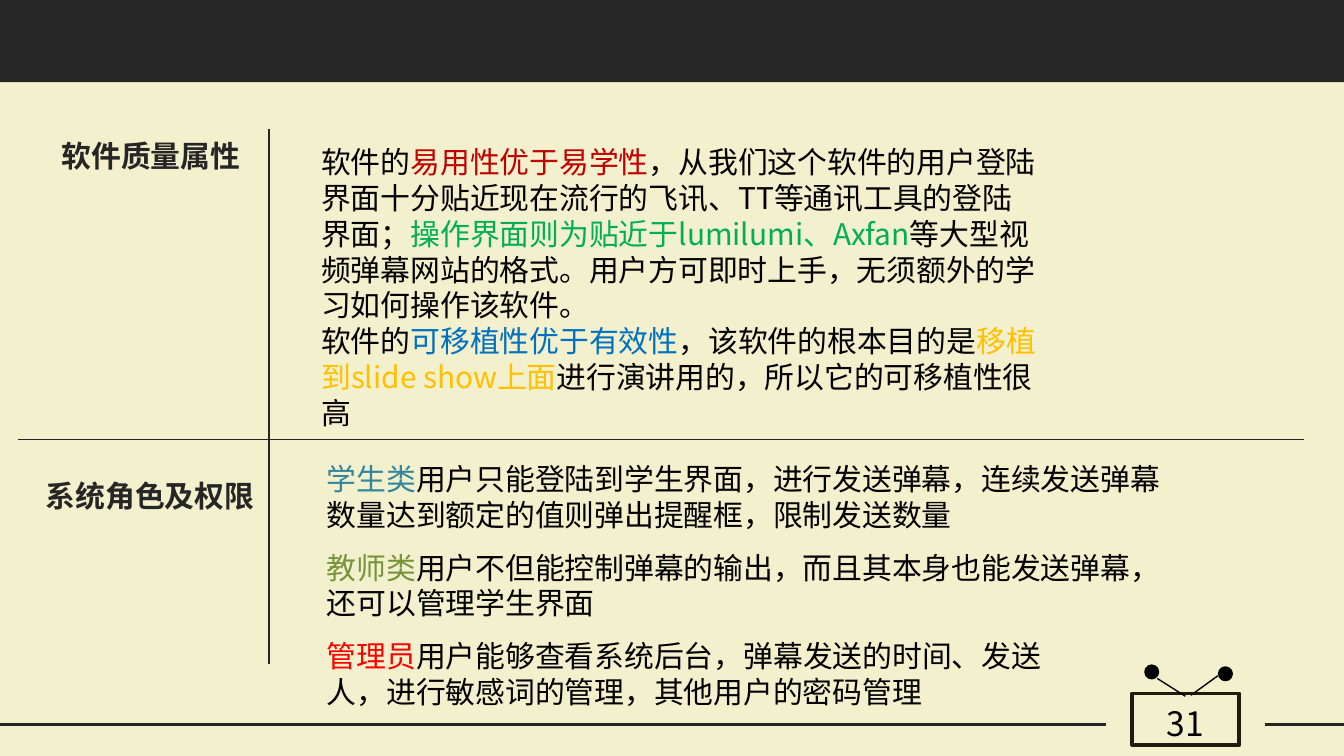
import pptx
import pptx.util
import pptx.dml.color
import pptx.enum.shapes
import pptx.enum.text
import pptx.oxml.ns
from lxml import etree

Pt = pptx.util.Pt
RGBColor = pptx.dml.color.RGBColor
MSO_SHAPE = pptx.enum.shapes.MSO_SHAPE
PP_ALIGN = pptx.enum.text.PP_ALIGN

FONT = "Noto Sans CJK JP"
CREAM = RGBColor(0xF3, 0xF0, 0xCD)
DARK = RGBColor(0x26, 0x26, 0x26)
FRAME = RGBColor(0x1E, 0x1C, 0x11)
BLACK = RGBColor(0, 0, 0)
CRIMSON = RGBColor(0xC0, 0, 0)
GREEN = RGBColor(0, 0xB0, 0x50)
BLUE = RGBColor(0, 0x70, 0xC0)
AMBER = RGBColor(0xFF, 0xC0, 0)
TEAL = RGBColor(0x31, 0x85, 0x9C)
OLIVE = RGBColor(0x77, 0x93, 0x3C)
RED = RGBColor(0xFF, 0, 0)

# Content: section labels, quality paragraphs, user roles
LABELS = [("软件质量属性", (26, 70, 111, 28)),
          ("系统角色及权限", (17.5, 252.5, 127, 28))]
QUALITY = [
    [("软件的", BLACK), ("易用性优于易学性", CRIMSON),
     ("，从我们这个软件的用户登陆界面十分贴近现在流行的飞讯、TT等通讯工具的登陆界面；", BLACK),
     ("操作界面则为贴近于lumilumi、Axfan", GREEN),
     ("等大型视频弹幕网站的格式。用户方可即时上手，无须额外的学习如何操作该软件。", BLACK)],
    [("软件的", BLACK), ("可移植性优于有效性", BLUE), ("，该软件的根本目的是", BLACK),
     ("移植到slide show上面", AMBER), ("进行演讲用的，所以它的可移植性很高", BLACK)],
]
ROLES = [  # name, colour, description, box width
    ("学生类", TEAL, "用户只能登陆到学生界面，进行发送弹幕，连续发送弹幕数量达到额定的值则弹出提醒框，限制发送数量", 471),
    ("教师类", OLIVE, "用户不但能控制弹幕的输出，而且其本身也能发送弹幕，还可以管理学生界面", 453.5),
    ("管理员", RED, "用户能够查看系统后台，弹幕发送的时间、发送人，进行敏感词的管理，其他用户的密码管理", 400),
]
PAGE = "31"

# Lines: start x, start y, end x, end y, colour, width
RULES = [
    (0, 388, 592.5, 388, DARK, 1.75),
    (677.5, 388, 720, 388, DARK, 1.75),
    (144, 69, 144, 356, DARK, 1.25),
    (9.5, 235.5, 698.5, 235.5, DARK, 1),
]
ANTENNAS = [
    (620, 363.5, 635, 373, BLACK, 0.75),
    (652.5, 362, 638, 372.5, BLACK, 0.75),
]
TIPS = [(614, 357), (653.5, 358)]
ROLE_TOP, ROLE_STEP = 243.5, 47.25


def add_shape(s, kind, box, fill=None, line=None):
    sp = s.shapes.add_shape(kind, *map(Pt, box))
    sp.shadow.inherit = False
    if fill is None:
        sp.fill.background()
    else:
        sp.fill.solid()
        sp.fill.fore_color.rgb = fill
    if line is None:
        sp.line.fill.background()
    else:
        sp.line.color.rgb = line
        sp.line.width = Pt(2)


def add_line(s, x1, y1, x2, y2, color, width):
    c = s.shapes.add_connector(pptx.enum.shapes.MSO_CONNECTOR.STRAIGHT,
                               Pt(x1), Pt(y1), Pt(x2), Pt(y2))
    c.line.color.rgb = color
    c.line.width = Pt(width)
    etree.SubElement(c._element.spPr, pptx.oxml.ns.qn("a:effectLst"))


def add_text(s, box, paragraphs, size=16, bold=False, wrap=True, align=None):
    tf = s.shapes.add_textbox(*map(Pt, box)).text_frame
    tf.word_wrap = wrap
    tf.auto_size = pptx.enum.text.MSO_AUTO_SIZE.SHAPE_TO_FIT_TEXT
    for i, runs in enumerate(paragraphs):
        p = tf.add_paragraph() if i else tf.paragraphs[0]
        if align is not None:
            p.alignment = align
        for text, color in runs:
            r = p.add_run()
            r.text = text
            r.font.size = Pt(size)
            r.font.bold = bold
            r.font.color.rgb = color
            r.font.name = FONT
            # East Asian typeface
            ea = etree.SubElement(r._r.get_or_add_rPr(), pptx.oxml.ns.qn("a:ea"))
            ea.set("typeface", FONT)


def main():
    prs = pptx.Presentation()
    prs.slide_width, prs.slide_height = Pt(720), Pt(405)
    s = prs.slides.add_slide(prs.slide_layouts[6])
    s.background.fill.solid()
    s.background.fill.fore_color.rgb = CREAM

    # Top band and dividing lines
    add_shape(s, MSO_SHAPE.RECTANGLE, (0, 0, 720, 44), fill=DARK)
    for rule in RULES:
        add_line(s, *rule)

    # Television with the page number
    add_shape(s, MSO_SHAPE.RECTANGLE, (606.5, 371.5, 57.5, 27.5), line=FRAME)
    add_text(s, (612, 373, 46, 31), [[(PAGE, BLACK)]], size=18, align=PP_ALIGN.CENTER)
    for antenna in ANTENNAS:
        add_line(s, *antenna)
    for x, y in TIPS:
        add_shape(s, MSO_SHAPE.OVAL, (x, y, 6, 6), fill=BLACK, line=BLACK)

    # Section labels and body text
    for label, box in LABELS:
        add_text(s, box, [[(label, DARK)]], bold=True, wrap=False)
    add_text(s, (165, 73.5, 400, 163), QUALITY)
    for i, (name, color, description, width) in enumerate(ROLES):
        add_text(s, (168, ROLE_TOP + i * ROLE_STEP, width, 47.5),
                 [[(name, color), (description, BLACK)]])

    prs.save("out.pptx")


if __name__ == "__main__":
    main()
